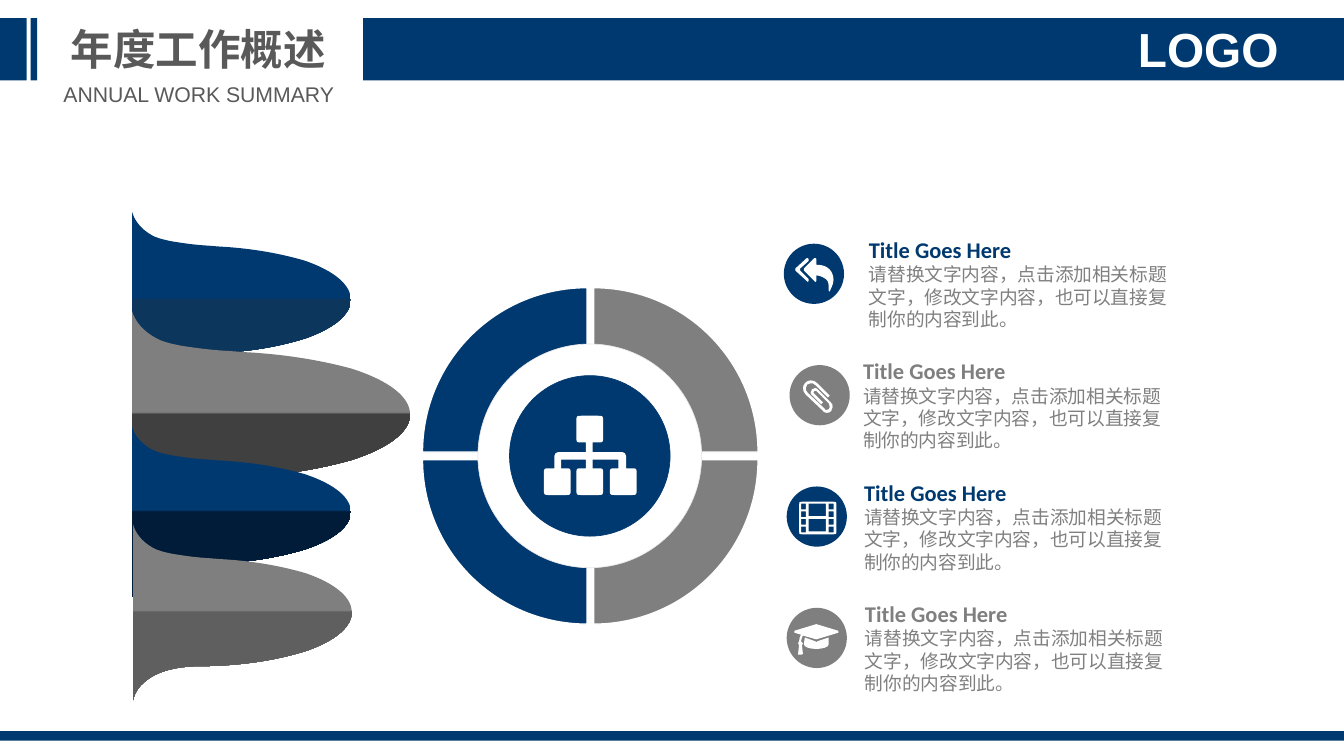
import pptx
import pptx.dml.color
import pptx.enum.shapes
import pptx.enum.text
import pptx.oxml.ns
import pptx.util
import lxml.etree

Inches = pptx.util.Inches
SHAPES = pptx.enum.shapes.MSO_SHAPE
NAVY, GRAY, WHITE = "003970", "7F7F7F", "FFFFFF"
TITLE_GRAY, BODY_GRAY = "595959", "808080"
DESCRIPTION = "请替换文字内容，点击添加相关标题文字，修改文字内容，也可以直接复制你的内容到此。"


def rectangle(x, y, width, height):
    return [(x, y), (x, y + height), (x + width, y + height), (x + width, y)]


def rounded(x, y, width, height, radius):
    right, bottom = x + width, y + height
    return [
        (x + radius, y), (right - radius, y), (right, y, right, y, right, y + radius),
        (right, bottom - radius), (right, bottom, right, bottom, right - radius, bottom),
        (x + radius, bottom), (x, bottom, x, bottom, x, bottom - radius),
        (x, y + radius), (x, y, x, y, x + radius, y),
    ]


WAVE = [[
    (0, 0), (0.01, 0.05, 0.04, 0.1, 0.09, 0.135), (0.11, 0.15, 0.14, 0.16, 0.18, 0.17),
    (0.23, 0.18, 0.28, 0.19, 0.35, 0.195), (0.4, 0.2), (0.55, 0.21, 0.68, 0.24, 0.79, 0.28),
    (0.93, 0.34, 1, 0.42, 1, 0.5), (1, 0.58, 0.93, 0.66, 0.79, 0.72),
    (0.66, 0.77, 0.51, 0.8, 0.34, 0.805), (0.29, 0.805),
    (0.2, 0.81, 0.13, 0.83, 0.08, 0.87), (0.03, 0.91, 0.01, 0.95, 0, 1),
]]
REPLY = [
    [(0.26, 0.39), (0.25, 0.4), (0.24, 0.39), (0.12, 0.28), (0.12, 0.26), (0.24, 0.15),
     (0.25, 0.15), (0.26, 0.16), (0.26, 0.18), (0.17, 0.26), (0.17, 0.28), (0.26, 0.37)],
    [(0.48, 0.5), (0.47, 0.49), (0.47, 0.43, 0.47, 0.39, 0.44, 0.37),
     (0.42, 0.35, 0.39, 0.34, 0.34, 0.33), (0.34, 0.39), (0.33, 0.4), (0.32, 0.39),
     (0.21, 0.28), (0.21, 0.26), (0.32, 0.15), (0.33, 0.15), (0.34, 0.16), (0.34, 0.22),
     (0.41, 0.22, 0.45, 0.24, 0.48, 0.27), (0.51, 0.3, 0.52, 0.35, 0.52, 0.38),
     (0.52, 0.43, 0.48, 0.49, 0.48, 0.5)],
]
PAPERCLIP = [
    [(0.39, 0.5), (0.37, 0.5, 0.35, 0.49, 0.34, 0.47), (0.17, 0.31),
     (0.15, 0.29, 0.14, 0.27, 0.14, 0.24), (0.14, 0.2, 0.18, 0.16, 0.22, 0.16),
     (0.25, 0.16, 0.27, 0.17, 0.29, 0.19), (0.42, 0.32), (0.4, 0.34), (0.27, 0.21),
     (0.25, 0.19, 0.24, 0.19, 0.22, 0.19), (0.19, 0.19, 0.17, 0.21, 0.17, 0.24),
     (0.17, 0.26, 0.17, 0.27, 0.19, 0.29), (0.36, 0.45),
     (0.37, 0.47, 0.38, 0.47, 0.39, 0.47), (0.41, 0.47, 0.42, 0.45, 0.42, 0.44),
     (0.42, 0.42, 0.41, 0.41, 0.41, 0.4), (0.28, 0.27), (0.27, 0.27),
     (0.26, 0.27, 0.25, 0.27, 0.25, 0.29), (0.26, 0.3), (0.35, 0.39), (0.33, 0.41),
     (0.24, 0.32), (0.23, 0.31, 0.22, 0.3, 0.22, 0.29),
     (0.22, 0.26, 0.24, 0.24, 0.27, 0.24), (0.28, 0.24, 0.29, 0.25, 0.3, 0.26),
     (0.43, 0.39), (0.45, 0.4, 0.45, 0.42, 0.45, 0.44), (0.45, 0.47, 0.43, 0.5, 0.39, 0.5)],
]
FILM = [rounded(0.13, 0.16, 0.39, 0.34, 0.03)]
FILM += [rectangle(x, 0.18 + 0.08 * row, 0.05, 0.06) for x in (0.15, 0.44) for row in range(4)]
FILM += [rectangle(0.23, 0.18 + 0.16 * row, 0.18, 0.13) for row in range(2)]
GRADUATION_CAP = [
    [(0.54, 0.26), (0.31, 0.33), (0.17, 0.29), (0.16, 0.3, 0.16, 0.32, 0.15, 0.35),
     (0.17, 0.37), (0.16, 0.39), (0.17, 0.48), (0.16, 0.49), (0.12, 0.49), (0.12, 0.48),
     (0.13, 0.39), (0.12, 0.37), (0.13, 0.35), (0.13, 0.32, 0.14, 0.3, 0.15, 0.28),
     (0.08, 0.26), (0.08, 0.24), (0.31, 0.17), (0.54, 0.24)],
    [(0.44, 0.38), (0.44, 0.41, 0.38, 0.43, 0.31, 0.43),
     (0.24, 0.43, 0.18, 0.41, 0.18, 0.38), (0.19, 0.31), (0.3, 0.35), (0.31, 0.36),
     (0.32, 0.35), (0.44, 0.31)],
]
HIERARCHY = [rounded(x, y, 0.28, 0.28, 0.06)
             for x, y in ((0.34, 0), (0, 0.55), (0.34, 0.55), (0.69, 0.55))]
HIERARCHY.append([
    (0.44, 0.28), (0.51, 0.28), (0.51, 0.38), (0.82, 0.38), (0.84, 0.38, 0.86, 0.4, 0.86, 0.42),
    (0.86, 0.55), (0.78, 0.55), (0.78, 0.46), (0.51, 0.46), (0.51, 0.55), (0.44, 0.55),
    (0.44, 0.46), (0.18, 0.46), (0.18, 0.55), (0.11, 0.55), (0.11, 0.42),
    (0.11, 0.4, 0.13, 0.38, 0.15, 0.38), (0.44, 0.38),
])


def rgb(color):
    return pptx.dml.color.RGBColor.from_string(color)


def paint(shape, color, line=None, line_width=1):
    shape.shadow.inherit = False
    shape.fill.solid()
    shape.fill.fore_color.rgb = rgb(color)
    if line:
        shape.line.color.rgb = rgb(line)
        shape.line.width = pptx.util.Pt(line_width)
    else:
        shape.line.fill.background()


def add_shape(slide, kind, left, top, width, height, color, line=None, line_width=1, rotation=0):
    shape = slide.shapes.add_shape(kind, Inches(left), Inches(top), Inches(width), Inches(height))
    shape.rotation = rotation
    paint(shape, color, line, line_width)


def add_outline(slide, contours, left, top, color, width=1, height=1):
    def place(x, y):
        return Inches(left + x * width), Inches(top + y * height)

    builder = slide.shapes.build_freeform(*place(*contours[0][0]))
    for index, contour in enumerate(contours):
        if index:
            builder.move_to(*place(*contour[0]))
        builder.add_line_segments([place(*segment[-2:]) for segment in contour[1:]], close=True)
    shape = builder.convert_to_shape()
    paint(shape, color)
    qn = pptx.oxml.ns.qn
    steps = [step for step in shape._element.iter(qn("a:moveTo"), qn("a:lnTo"))]
    segments = [segment for contour in contours for segment in contour]
    for step, segment in zip(steps, segments):
        if len(segment) == 6:
            curve = lxml.etree.Element(qn("a:cubicBezTo"))
            for start in (0, 2, 4):
                x, y = place(*segment[start:start + 2])
                lxml.etree.SubElement(curve, qn("a:pt"), x=str(x - shape.left), y=str(y - shape.top))
            step.getparent().replace(step, curve)
    return shape


def add_run(paragraph, text, size, color, font="Arial", bold=False):
    run = paragraph.add_run()
    run.text = text
    run.font.size = pptx.util.Pt(size)
    run.font.name = font
    run.font.bold = bold
    run.font.color.rgb = rgb(color)


def add_text(slide, left, top, width, height, wrap=True, inset=None, center=False):
    box = slide.shapes.add_textbox(Inches(left), Inches(top), Inches(width), Inches(height))
    frame = box.text_frame
    frame.word_wrap = wrap
    frame.auto_size = pptx.enum.text.MSO_AUTO_SIZE.SHAPE_TO_FIT_TEXT
    if inset is not None:
        frame.margin_left = frame.margin_right = Inches(inset)
        frame.margin_top = frame.margin_bottom = Inches(inset)
    paragraph = frame.paragraphs[0]
    if center:
        paragraph.alignment = pptx.enum.text.PP_ALIGN.CENTER
    return paragraph


def add_wave(slide, left, top, width, height, upper, lower):
    wave = add_outline(slide, WAVE, left, top, upper, width, height)
    wave.fill.gradient()
    wave.fill.gradient_angle = 270
    for stop, position, color in zip(wave.fill.gradient_stops, (0.49, 0.5), (upper, lower)):
        stop.position = position
        stop.color.rgb = rgb(color)


def add_item(slide, left, top, text_left, color, icon):
    add_shape(slide, SHAPES.OVAL, left, top, 0.63, 0.63, color)
    add_outline(slide, icon, left, top, WHITE)
    paragraph = add_text(slide, text_left, top - 0.13, 3.51, 1.09)
    add_run(paragraph, "Title Goes Here", 16.9, color, "Calibri", True)
    paragraph.add_line_break()
    add_run(paragraph, DESCRIPTION, 14.1, BODY_GRAY, "Calibri")


def add_ring(slide, left, top):
    quadrants = ((0, 0, NAVY), (1, 0, GRAY), (1, 1, GRAY), (0, 1, NAVY))
    for index, (column, row, color) in enumerate(quadrants):
        add_shape(slide, SHAPES.PIE_WEDGE, left + 1.79 * column, top + 1.8 * row, 1.72, 1.72,
                  color, line=WHITE, rotation=90 * index)
    add_shape(slide, SHAPES.OVAL, left + 0.58, top + 0.59, 2.34, 2.34, WHITE, "E7E6E6", 0.5)
    add_shape(slide, SHAPES.OVAL, left + 0.91, top + 0.92, 1.68, 1.68, NAVY, NAVY, 0.5)
    add_outline(slide, HIERARCHY, left + 1.27, top + 1.34, WHITE)


def add_header(slide, top):
    for left, width in ((3.8, 10.26), (0, 0.28), (0.32, 0.07)):
        add_shape(slide, SHAPES.RECTANGLE, left, top, width, 0.65, NAVY)
    title = add_text(slide, 0.63, top, 2.89, 0.64, wrap=False, center=True)
    add_run(title, "年度工作概述", 32, TITLE_GRAY, bold=True)
    logo = add_text(slide, 11.6, top + 0.02, 2.08, 0.61, inset=0, center=True)
    add_run(logo, "LOGO", 36, WHITE, bold=True)
    subtitle = add_text(slide, 0.55, top + 0.61, 3.06, 0.37, wrap=False, center=True)
    add_run(subtitle, "ANNUAL WORK SUMMARY", 16, TITLE_GRAY)


def main():
    presentation = pptx.Presentation()
    presentation.slide_width = Inches(14.06)
    presentation.slide_height = Inches(7.91)
    slide = presentation.slides.add_slide(presentation.slide_layouts[6])
    add_wave(slide, 1.38, 2.21, 2.29, 1.85, NAVY, "0D365D")
    add_wave(slide, 1.38, 3.25, 2.91, 2.17, GRAY, "404040")
    add_wave(slide, 1.38, 4.46, 2.29, 1.79, NAVY, "001C38")
    add_wave(slide, 1.39, 5.48, 2.29, 1.85, GRAY, "5F5F5F")
    items = ((8.2, 8.99, NAVY, REPLY), (8.26, 8.93, GRAY, PAPERCLIP),
             (8.23, 8.94, NAVY, FILM), (8.23, 8.95, GRAY, GRADUATION_CAP))
    for index, (left, text_left, color, icon) in enumerate(items):
        add_item(slide, left, 2.55 + 1.27 * index, text_left, color, icon)
    add_ring(slide, 4.42, 3.01)
    add_header(slide, 0.19)
    add_shape(slide, SHAPES.RECTANGLE, 0, 7.65, 14.06, 0.1, NAVY)
    presentation.save("out.pptx")


if __name__ == "__main__":
    main()
